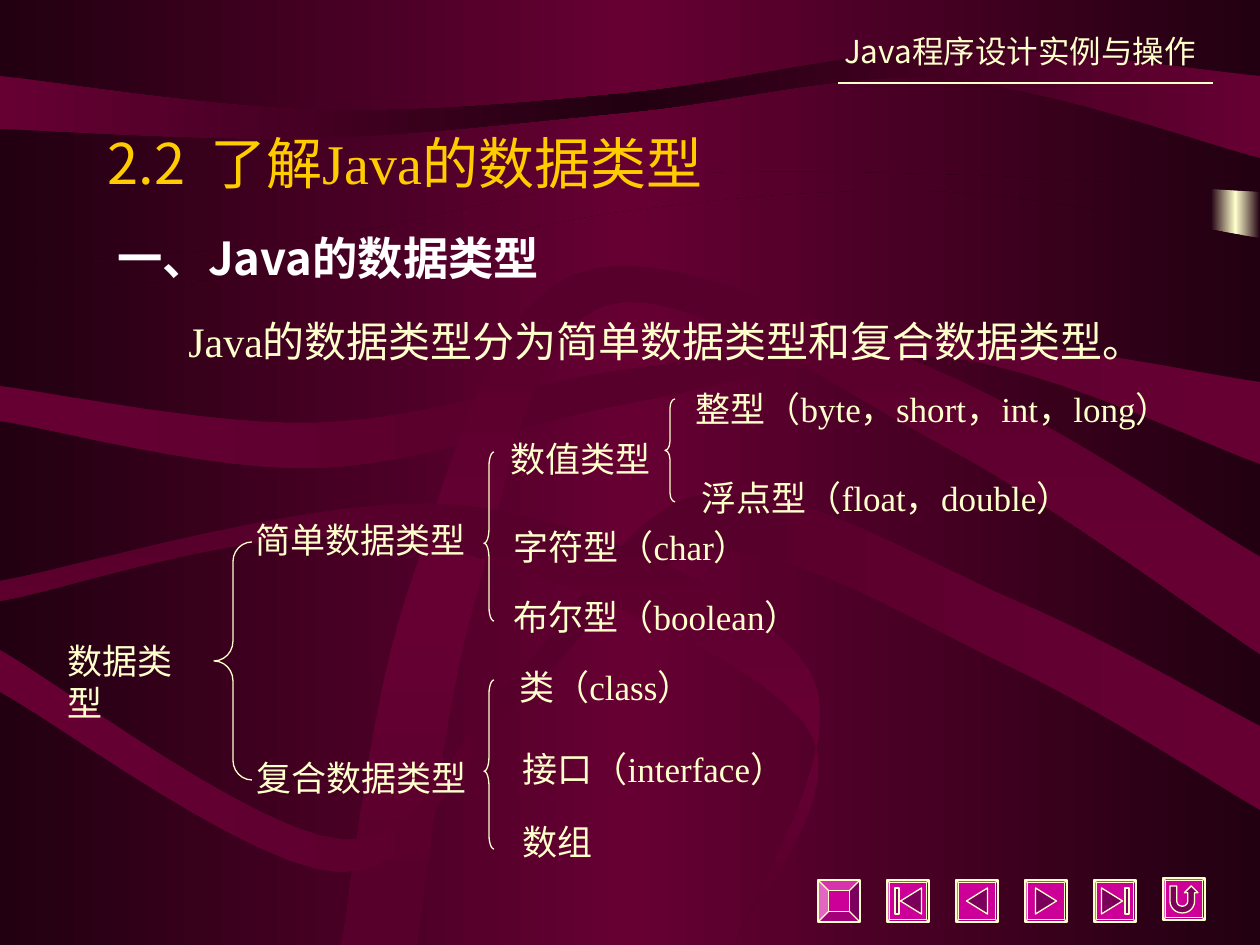
from copy import deepcopy
from dataclasses import dataclass

from pptx import Presentation
from pptx.dml.color import RGBColor
from pptx.enum.shapes import MSO_CONNECTOR, MSO_SHAPE
from pptx.enum.text import MSO_ANCHOR, MSO_AUTO_SIZE, PP_ALIGN
from pptx.oxml.ns import qn
from pptx.oxml.xmlchemy import OxmlElement
from pptx.util import Emu, Pt

DARK = RGBColor.from_string("220011")
WINE = RGBColor.from_string("660033")
PLUM = RGBColor.from_string("56002B")
CREAM = RGBColor.from_string("FFFFCC")
GOLD = RGBColor.from_string("FFCC00")
WHITE = RGBColor.from_string("FFFFFF")
MAGENTA = RGBColor.from_string("CC0099")
ICON = RGBColor.from_string("7A005C")
SERIF, SANS, SANS_SC = "Times New Roman", "Noto Sans CJK JP", "Noto Sans CJK SC"
W, H = 1260, 945
SCALE = 914400 / 126
STEPS = 12
BUTTON = 42
Points = list[tuple[float, float]]


@dataclass
class Wave:
    edge: RGBColor
    mid: RGBColor
    angle: int
    upper: Points
    lower: Points


@dataclass
class Label:
    text: str
    x: int
    y: int
    w: int
    h: int = 55
    size: float = 20
    font: str = SERIF
    color: RGBColor = CREAM
    bold: bool = False
    align: PP_ALIGN = PP_ALIGN.LEFT
    spacing: float = 1.0
    indent: int = 0


@dataclass
class Brace:
    x: int
    y: int
    w: int
    h: int
    curl: float
    tip: float


def across(*ys: int) -> Points:
    return [(W * i / (len(ys) - 1), y) for i, y in enumerate(ys)]


WAVES = [
    Wave(DARK, WINE, 180, across(0, 0), across(266, 238, 178, 174, 192)),
    Wave(DARK, WINE, 180, across(287, 272, 211, 192, 238), across(H, H)),
    Wave(WINE, DARK, 180, across(76, 110, 93, 50, 76), across(129, 138, 112, 79, 158)),
    Wave(WINE, PLUM, 180, across(386, 423, 369, 339, 382), across(421, 468, 403, 357, 464)),
    Wave(PLUM, WINE, 90, [(341, H), (408, 592), (572, 275), (931, 368), (W, 557)],
         [(417, H), (474, 604), (604, 306), (944, 446), (W, 654)]),
    Wave(WINE, PLUM, 180, [(0, 650), (344, 840), (513, 679), (708, 493), (1016, 601), (W, 726)],
         [(0, 692), (339, 872), (512, 707), (712, 552), (1009, 666), (W, 810)]),
    Wave(PLUM, WINE, 90, [(0, 581), (461, 505), (809, 670), (735, H)],
         [(0, 601), (396, 539), (803, 721), (735, H)]),
]
BRACES = [
    Brace(214, 542, 38, 238, 0.52, 0.5),
    Brace(484, 452, 10, 169, 1.4, 0.54),
    Brace(665, 399, 10, 103, 0.9, 0.5),
    Brace(484, 680, 10, 169, 1.4, 0.54),
]
LABELS = [
    Label("Java程序设计实例与操作", 819, 26, 389, 50, 18, SANS_SC, align=PP_ALIGN.RIGHT),
    Label("一、Java的数据类型", 105, 234, 843, 59, 25.9, SANS, WHITE, True, spacing=0.8),
    Label("Java的数据类型分为简单数据类型和复合数据类型。", 113, 309, 1072, 63, 24, indent=63),
    Label("数据类型", 55, 633, 165),
    Label("简单数据类型", 243, 512, 287),
    Label("复合数据类型", 244, 750, 287),
    Label("数值类型", 498, 431, 208),
    Label("整型（byte，short，int，long）", 683, 381, 525, 97),
    Label("浮点型（float，double）", 689, 470, 536),
    Label("字符型（char）", 501, 519, 278),
    Label("布尔型（boolean）", 501, 589, 456),
    Label("类（class）", 507, 659, 341),
    Label("接口（interface）", 510, 741, 447),
    Label("数组", 510, 814, 218),
]


def px(n: float) -> Emu:
    return Emu(round(n * SCALE))


def smooth(points: Points) -> Points:
    padded = [points[0], *points, points[-1]]
    out = [points[0]]
    for a, b, c, d in zip(padded, padded[1:], padded[2:], padded[3:]):
        for i in range(1, STEPS + 1):
            t = i / STEPS
            out.append(tuple(
                q + t * (r - p + t * (2 * p - 5 * q + 4 * r - e + t * (3 * (q - r) + e - p))) / 2
                for p, q, r, e in zip(a, b, c, d)))
    return out


def paint_gradient(fill, element, edge: RGBColor, mid: RGBColor, angle: int) -> None:
    fill.gradient()
    fill.gradient_angle = angle
    for stop, color, position in zip(fill.gradient_stops, (edge, mid), (0, 0.5)):
        stop.color.rgb = color
        stop.position = position
    stops = element.find(".//" + qn("a:gsLst"))
    last = deepcopy(stops[0])
    last.set("pos", "100000")
    stops.append(last)


def add_wave(s, wave: Wave) -> None:
    outline = smooth(wave.upper) + smooth(wave.lower)[::-1]
    pts = [(px(x), px(y)) for x, y in outline]
    builder = s.shapes.build_freeform(*pts[0])
    builder.add_line_segments(pts[1:], close=True)
    sp = builder.convert_to_shape()
    sp.shadow.inherit = False
    sp.line.fill.background()
    paint_gradient(sp.fill, sp.element, wave.edge, wave.mid, wave.angle)


def add_backdrop(s) -> None:
    paint_gradient(s.background.fill, s.element, DARK, WINE, 180)
    glow = s.shapes.add_shape(MSO_SHAPE.RECTANGLE, px(1211), px(62), px(49), px(435))
    glow.shadow.inherit = False
    glow.line.fill.background()
    paint_gradient(glow.fill, glow.element, DARK, CREAM, 180)
    for wave in WAVES:
        add_wave(s, wave)


def add_preset(s, kind: MSO_SHAPE, x: float, y: float, w: int, h: int, fill: RGBColor):
    sp = s.shapes.add_shape(kind, px(x), px(y), px(w), px(h))
    sp.shadow.inherit = False
    sp.fill.solid()
    sp.fill.fore_color.rgb = fill
    sp.line.color.rgb = CREAM
    sp.line.width = Pt(0.75)
    return sp


def add_button(s, i: int, bevel: float = 0.06) -> tuple[int, int]:
    x, y = 818 + 69 * i, 878 if i == 5 else 880
    add_preset(s, MSO_SHAPE.BEVEL, x, y, BUTTON, BUTTON, MAGENTA).adjustments[0] = bevel
    return x, y


def add_arrow_button(s, i: int, center: int, turn: int, bar: int = 0) -> None:
    x, y = add_button(s, i)
    w, h = 26, 21
    arrow = add_preset(s, MSO_SHAPE.ISOSCELES_TRIANGLE, x + center - w / 2,
                       y + (BUTTON - h) / 2, w, h, ICON)
    arrow.rotation = turn
    if bar:
        add_preset(s, MSO_SHAPE.RECTANGLE, x + bar, y + (BUTTON - w) / 2, 4, w, ICON)


def add_navigation(s) -> None:
    add_button(s, 0, 0.25)
    add_arrow_button(s, 1, 24, 270, 8)
    add_arrow_button(s, 2, 21, 270)
    add_arrow_button(s, 3, 21, 90)
    add_arrow_button(s, 4, 18, 90, 31)
    x, y = add_button(s, 5)
    back = add_preset(s, MSO_SHAPE.U_TURN_ARROW, x + 7, y + 8, 28, 27, ICON)
    back.adjustments[4] = 1
    back.element.find(".//" + qn("a:xfrm")).set("flipV", "1")


def add_brace(s, b: Brace) -> None:
    sp = add_preset(s, MSO_SHAPE.LEFT_BRACE, b.x, b.y, b.w, b.h, CREAM)
    sp.adjustments[0], sp.adjustments[1] = b.curl, b.tip
    sp.fill.background()


def set_east_asian(p) -> None:
    ea = OxmlElement("a:ea")
    ea.set("typeface", SANS_SC)
    p._p.find(".//" + qn("a:defRPr")).append(ea)


def add_label(s, label: Label) -> None:
    tf = s.shapes.add_textbox(px(label.x), px(label.y), px(label.w), px(label.h)).text_frame
    tf.word_wrap = True
    p = tf.paragraphs[0]
    p.text = label.text
    p.alignment = label.align
    p.line_spacing = label.spacing
    if label.indent:
        p._p.get_or_add_pPr().set("indent", str(px(label.indent)))
    p.font.size, p.font.bold, p.font.name = Pt(label.size), label.bold, label.font
    p.font.color.rgb = label.color
    set_east_asian(p)


def add_title(s) -> None:
    sp = s.shapes.title
    sp.left, sp.top, sp.width, sp.height = px(95), px(134), px(1071), px(57)
    tf = sp.text_frame
    tf.vertical_anchor = MSO_ANCHOR.MIDDLE
    tf.auto_size = MSO_AUTO_SIZE.NONE
    p = tf.paragraphs[0]
    p.alignment = PP_ALIGN.LEFT
    p.font.size = Pt(32)
    p.font.color.rgb = GOLD
    set_east_asian(p)
    for text, font in (("2.2  ", SANS), ("了解Java的数据类型", SERIF)):
        r = p.add_run()
        r.text = text
        r.font.name = font
    s.shapes._spTree.append(sp.element)


def add_header_rule(s) -> None:
    rule = s.shapes.add_connector(MSO_CONNECTOR.STRAIGHT, px(838), px(83), px(1213), px(83))
    rule.line.color.rgb = CREAM
    rule.line.width = Pt(0.75)
    rule.element.spPr.append(OxmlElement("a:effectLst"))


def main() -> None:
    prs = Presentation()
    prs.slide_width, prs.slide_height = px(W), px(H)
    s = prs.slides.add_slide(prs.slide_layouts[5])
    add_backdrop(s)
    add_navigation(s)
    add_header_rule(s)
    add_title(s)
    for brace in BRACES:
        add_brace(s, brace)
    for label in LABELS:
        add_label(s, label)
    prs.save("out.pptx")


if __name__ == "__main__":
    main()
